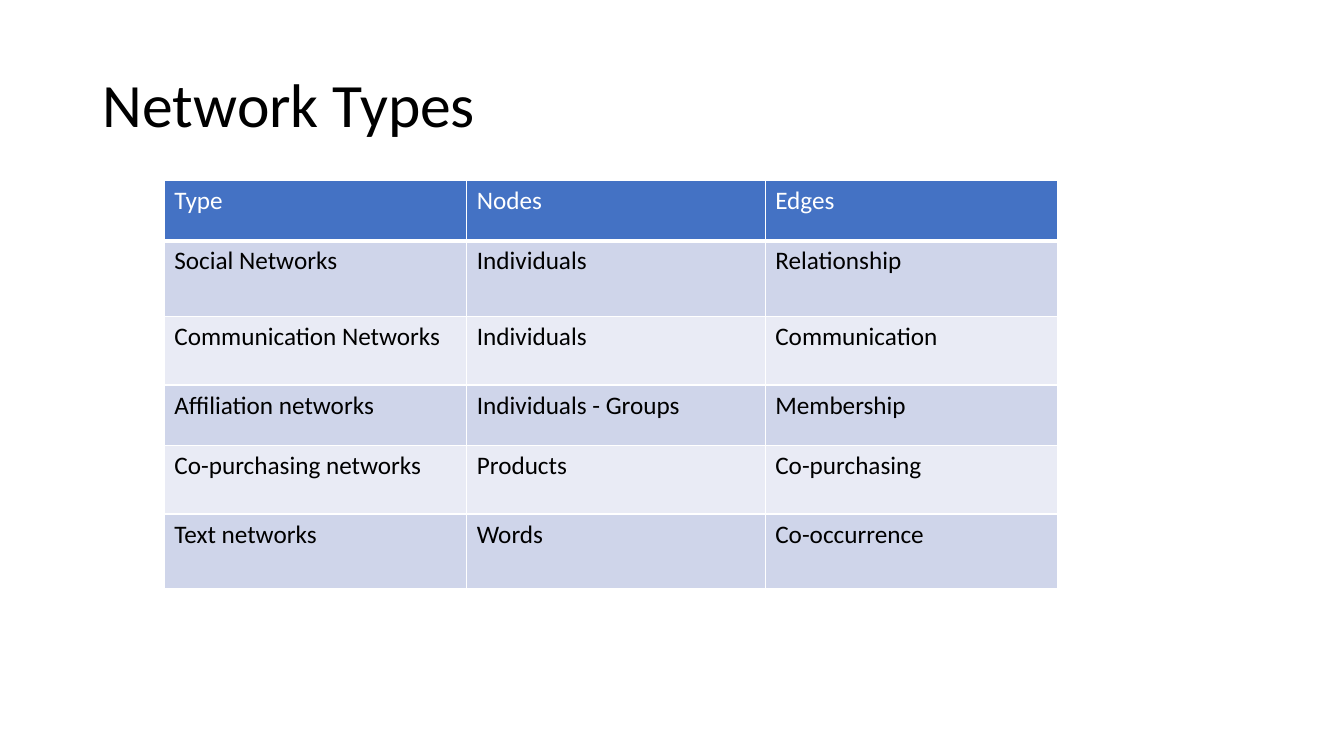
from typing import NamedTuple

from lxml.etree import SubElement
from pptx import Presentation
from pptx.dml.color import RGBColor
from pptx.enum.text import MSO_ANCHOR as Anchor, PP_ALIGN as Align
from pptx.oxml.ns import qn
from pptx.util import Emu, Pt

PX = 9144  # EMU per px, 100 px to the inch
FONT = "Calibri"
BLACK = RGBColor(0x00, 0x00, 0x00)
WHITE = RGBColor(0xFF, 0xFF, 0xFF)
HEADER_BLUE = RGBColor(0x44, 0x72, 0xC4)
BAND_DARK = RGBColor(0xCF, 0xD5, 0xEA)
BAND_LIGHT = RGBColor(0xE9, 0xEB, 0xF5)


class NetworkRow(NamedTuple):
    height: int
    kind: str
    nodes: str
    edges: str


COLUMN_WIDTHS = (300, 296, 290)
NETWORKS = (
    NetworkRow(60, "Type", "Nodes", "Edges"),
    NetworkRow(75, "Social Networks", "Individuals", "Relationship"),
    NetworkRow(68, "Communication Networks", "Individuals", "Communication"),
    NetworkRow(60, "Affiliation networks", "Individuals - Groups", "Membership"),
    NetworkRow(68, "Co-purchasing networks", "Products", "Co-purchasing"),
    NetworkRow(74, "Text networks", "Words", "Co-occurrence"),
)


def px(length: int) -> Emu:
    return Emu(length * PX)


def style_text(paragraph, size: int, color: RGBColor) -> None:
    paragraph.alignment = Align.LEFT
    for run in paragraph.runs:
        run.font.name = FONT
        run.font.size = Pt(size)
        run.font.bold = False
        run.font.color.rgb = color


def add_borders(cell, bottom: int) -> None:
    properties = cell._tc.get_or_add_tcPr()
    for side, width in (("L", 1), ("R", 1), ("T", 1), ("B", bottom)):
        line = SubElement(properties, qn(f"a:ln{side}"), w=str(Pt(width)))
        fill = SubElement(line, qn("a:solidFill"))
        SubElement(fill, qn("a:srgbClr"), val=str(WHITE))


def add_title(slide) -> None:
    title = slide.shapes.title
    title.left, title.top, title.width, title.height = map(px, (92, 34, 1150, 145))
    frame = title.text_frame
    frame.text = "Network Types"
    frame.vertical_anchor = Anchor.MIDDLE
    frame.paragraphs[0].line_spacing = 0.9
    style_text(frame.paragraphs[0], 44, BLACK)


def add_network_table(slide) -> None:
    width, height = sum(COLUMN_WIDTHS), sum(row.height for row in NETWORKS)
    table = slide.shapes.add_table(
        len(NETWORKS), len(COLUMN_WIDTHS), px(163), px(179), px(width), px(height)
    ).table
    for column, column_width in zip(table.columns, COLUMN_WIDTHS):
        column.width = px(column_width)

    for index, network in enumerate(NETWORKS):
        table.rows[index].height = px(network.height)
        is_header = index == 0
        band = BAND_DARK if index % 2 else BAND_LIGHT
        labels = (network.kind, network.nodes, network.edges)
        for cell, label in zip(table.rows[index].cells, labels):
            cell.text_frame.text = label
            style_text(cell.text_frame.paragraphs[0], 18, WHITE if is_header else BLACK)
            add_borders(cell, bottom=3 if is_header else 1)
            cell.fill.solid()
            cell.fill.fore_color.rgb = HEADER_BLUE if is_header else band


def main() -> None:
    deck = Presentation()
    deck.slide_width, deck.slide_height = px(1333), px(750)
    slide = deck.slides.add_slide(deck.slide_layouts[5])  # title only
    add_title(slide)
    add_network_table(slide)
    deck.save("out.pptx")


if __name__ == "__main__":
    main()
